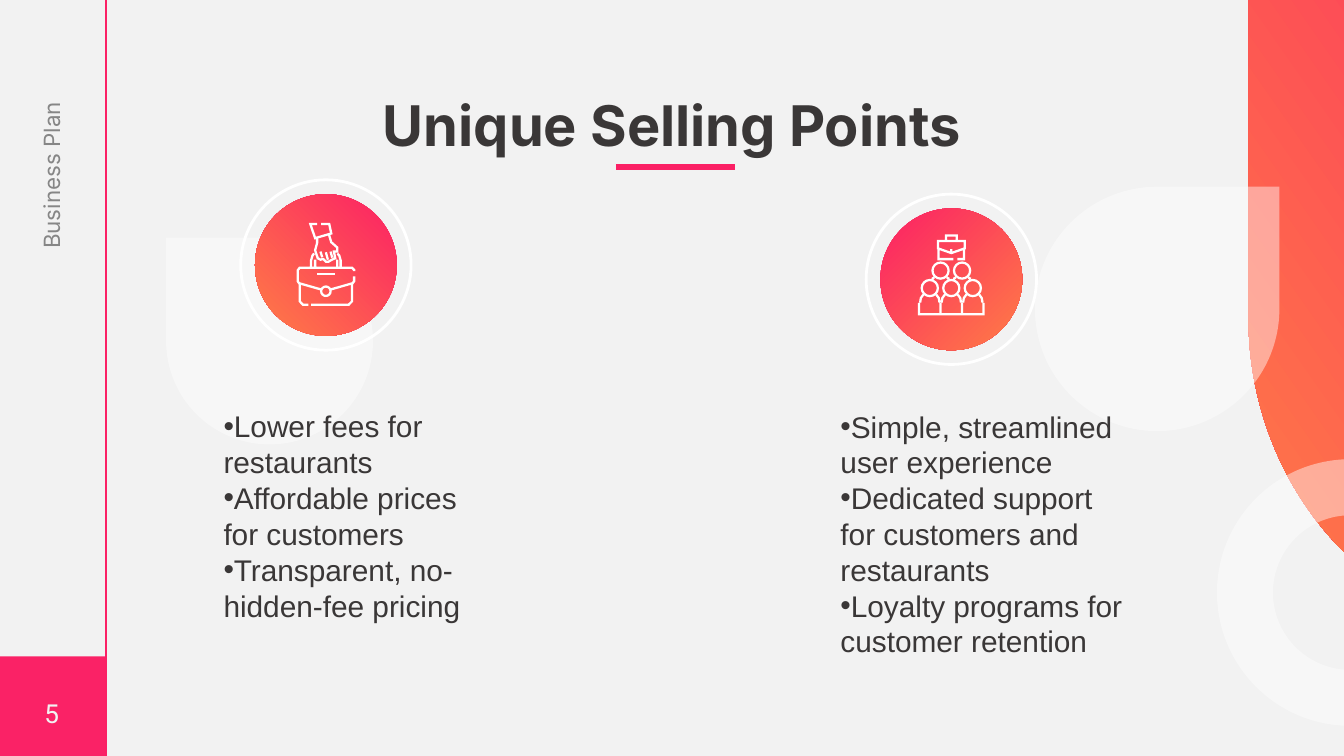
import math

from lxml import etree
from pptx import Presentation
from pptx import util as u
from pptx.dml import color
from pptx.enum import shapes, text
from pptx.oxml import ns

Cm, Pt = u.Cm, u.Pt
COLORS = {
    "paper": "F2F2F2", "white": "FFFFFF", "ink": "3A3737", "muted": "868686",
    "pink": "FB2065", "orange": "FF7D46", "block": "FA2266",
}
TITLE = {"name": "Inter", "size": Pt(30), "bold": True}
LIST = {"name": "Arial", "size": Pt(16), "bold": False}
SIDE = {"name": "Inter", "size": Pt(12)}
NUMBER = {"name": "Roboto", "size": Pt(14)}
ICON_UNIT = Cm(2.54) / 100
PRECISION = 100
HALF_STROKE = 0.85

BRIEFCASE = {
    "strokes": [
        [(21, 4.5), (21, 3.5), (19.5, 2), (-19.5, 2), (-21, 4), (-21, 12), (-20, 13.5), (-4.2, 18)],
        [(21, 8.5), (21, 12), (20, 13.5), (4.2, 18)],
        [(-19.5, 14.6), (-19.5, 27), (-17, 29.5), (-13, 29.5)],
        [(-11, 29.5), (17, 29.5), (19.5, 27), (19.5, 14.6)],
        [(-11, 1.1), (-11, -3.5), (-10, -7), (-8.8, -8.6)],
        [(-8, 1.1), (-8, -4)],
        [(11, 1.1), (11, -3.5), (10, -7), (8.6, -8.6)],
        [(8.5, 1.1), (8.5, -4)],
        [(-3.5, -30.5), (2.5, -30.5), (4, -23.5), (-8, -20), (-11.5, -30.5), (-6.5, -30.5)],
        [(-6.5, -19.5), (-6.5, -16.5), (-8, -11), (-6, -5), (-4, -4), (-2, -4.5), (0, -2.5),
         (2, -2.5), (4.5, -4), (7, -5), (6, -10), (8.5, -10), (8.5, -13), (4, -17), (2.5, -22)],
        [(-4, -10), (-2.7, -5.8)],
        [(0, -9.5), (1.5, -4)],
        [(3.5, -10), (4.7, -5.5)],
    ],
    "circles": [(0, 19.5, 3.5)],
}
SLOT = {"strokes": [[(-6.5, 6.5), (6.5, 6.5)]], "circles": []}
BACK_ROW, FRONT_ROW, SIDES = (-8, 8), (-16, 0, 16), (-1, 1)
TEAM = {
    "strokes": [[(-24.85, 26), (24.85, 26)]]
    + [[(x, 25.1), (x, 17.5)] for x in range(-24, 25, 16)]
    + [[(x + 7.2 * side, 17.3), (x + 6.7 * side, 14), (x + 4.9 * side, 11.5)]
       for x in FRONT_ROW for side in SIDES]
    + [[(x + 4.7 * side, -1.3), (x + 6.5 * side, -0.3)] for x in BACK_ROW for side in SIDES],
    "circles": [(x, -6.5, 6) for x in BACK_ROW] + [(x, 6.5, 6) for x in FRONT_ROW],
}
CASE = {
    "strokes": [
        [(0, -28.5), (10, -28.5), (10, -23), (0, -19.5), (-10, -23), (-10, -28.5), (0, -28.5)],
        [(-9.5, -21.8), (-9.5, -15), (1.5, -15)],
        [(4.5, -15), (9.5, -15), (9.5, -21.8)],
        [(-4, -29.4), (-4, -32.5), (4, -32.5), (4, -29.4)],
        [(0, -22.5), (0, -20.5)],
    ],
    "circles": [],
}


def rgb(name):
    return color.RGBColor.from_string(COLORS[name])


def format_font(font, values, color_name):
    for key, value in values.items():
        setattr(font, key, value)
    font.color.rgb = rgb(color_name)


def place(part, left, top, width, height):
    box = {"left": left, "top": top, "width": width, "height": height}
    for key, value in box.items():
        setattr(part, key, Cm(value))


def add_plain(parent, kind, box, fill=None, alpha=None, rotation=0):
    part = parent.shapes.add_shape(kind, *map(Cm, box))
    part.shadow.inherit = False
    part.rotation = rotation
    part.line.fill.background()
    if fill is None:
        part.fill.background()
    else:
        part.fill.solid()
        part.fill.fore_color.rgb = rgb(fill)
    if alpha:
        tint = part.fill._xPr.find(".//" + ns.qn("a:srgbClr"))
        etree.SubElement(tint, ns.qn("a:alpha"), val=str(alpha * 1000))
    return part


def add_gradient(parent, kind, box, angle, rotation=0):
    part = add_plain(parent, kind, box, rotation=rotation)
    part.fill.gradient()
    part.fill.gradient_angle = 360 - angle
    for stop, name in zip(part.fill.gradient_stops, ("pink", "orange")):
        stop.color.rgb = rgb(name)


def add_rule(slide, start, end, width):
    rule = slide.shapes.add_connector(shapes.MSO_CONNECTOR.STRAIGHT, *map(Cm, start + end))
    rule.line.color.rgb = rgb("pink")
    rule.line.width = Pt(width)
    etree.SubElement(rule._element.spPr, ns.qn("a:effectLst"))


def ribbon(stroke):
    angles = [math.atan2(y2 - y1, x2 - x1) for (x1, y1), (x2, y2) in zip(stroke, stroke[1:])]
    left, right = [], []
    for (x, y), before, after in zip(stroke, angles[:1] + angles, angles + angles[-1:]):
        turn = math.remainder(after - before, math.tau) / 2
        reach = HALF_STROKE / math.cos(turn)
        dx, dy = -reach * math.sin(before + turn), reach * math.cos(before + turn)
        left.append((x + dx, y + dy))
        right.append((x - dx, y - dy))
    return left + right[::-1]


def ring(x, y, radius, corners=16):
    return [(x + radius * math.cos(math.tau * i / corners),
             y + radius * math.sin(math.tau * i / corners)) for i in range(corners)]


def add_icon_part(icon, x, y, drawing):
    contours = [ribbon(stroke) for stroke in drawing["strokes"]]
    for cx, cy, radius in drawing["circles"]:
        contours += [ring(cx, cy, radius + edge) for edge in (HALF_STROKE, -HALF_STROKE)]
    contours = [[(px * PRECISION, py * PRECISION) for px, py in points] for points in contours]
    builder = icon.shapes.build_freeform(*contours[0][0], scale=ICON_UNIT / PRECISION)
    for i, points in enumerate(contours):
        if i:
            builder.move_to(*points[0])
        builder.add_line_segments(points[1:])
    outline = builder.convert_to_shape(Cm(x), Cm(y))
    outline.shadow.inherit = False
    outline.fill.solid()
    outline.fill.fore_color.rgb = rgb("white")
    outline.line.fill.background()


def add_icon(slide, x, y, drawings):
    icon = slide.shapes.add_group_shape()
    for drawing in drawings:
        add_icon_part(icon, x, y, drawing)


def add_badge(slide, x, y, angle):
    badge = slide.shapes.add_group_shape()
    oval = shapes.MSO_SHAPE.OVAL
    halo = add_plain(badge, oval, (x - 1.61, y - 1.61, 3.22, 3.22))
    halo.line.color.rgb = rgb("white")
    halo.line.width = Pt(1.5)
    add_gradient(badge, oval, (x - 1.34, y - 1.34, 2.68, 2.68), angle)


def fill_title(title, words):
    place(title, 1.95, 1.55, 21.51, 1.55)
    frame = title.text_frame
    frame.text = words
    frame.auto_size = text.MSO_AUTO_SIZE.NONE
    frame.vertical_anchor = text.MSO_ANCHOR.BOTTOM
    frame.paragraphs[0].alignment = text.PP_ALIGN.CENTER
    format_font(frame.paragraphs[0].runs[0].font, TITLE, "ink")


def fill_list(body, box, points):
    place(body, *box)
    frame = body.text_frame
    frame.text = "\n".join(points)
    frame.auto_size = text.MSO_AUTO_SIZE.NONE
    frame.vertical_anchor = text.MSO_ANCHOR.MIDDLE
    frame.margin_top = Cm(0.8)
    for paragraph in frame.paragraphs:
        paragraph.space_before = Pt(0)
        props = paragraph._p.get_or_add_pPr()
        for key in ("marL", "indent"):
            props.set(key, "0")
        etree.SubElement(props, ns.qn("a:buChar"), char="•")
        format_font(paragraph.runs[0].font, LIST, "ink")


def add_side_label(slide, words):
    label = slide.shapes.add_textbox(*map(Cm, (-0.89, 2.88, 3.73, 1.02)))
    label.rotation = 270
    frame = label.text_frame
    frame.word_wrap = True
    margins = {"margin_left": 0.55, "margin_right": 0.25, "margin_top": 0.25, "margin_bottom": 0.25}
    for key, value in margins.items():
        setattr(frame, key, Cm(value))
    frame.text = words
    format_font(frame.paragraphs[0].runs[0].font, SIDE, "muted")


def add_page_number(slide, number):
    block = add_plain(slide, shapes.MSO_SHAPE.RECTANGLE, (-0.05, 12.41, 2.06, 2.13), "block")
    frame = block.text_frame
    frame.text = number
    frame.vertical_anchor = text.MSO_ANCHOR.MIDDLE
    frame.paragraphs[0].alignment = text.PP_ALIGN.CENTER
    format_font(frame.paragraphs[0].runs[0].font, NUMBER, "paper")


def add_backdrop(slide):
    drop = shapes.MSO_SHAPE.TEAR
    add_gradient(slide, drop, (23.19, 0.36, 12.09, 11.28), 235, 270)
    add_plain(slide, drop, (3.14, 4.49, 3.91, 3.91), "white", 44, 270)
    add_plain(slide, drop, (19.56, 3.53, 4.62, 4.62), "white", 44)
    arc = add_plain(slide, shapes.MSO_SHAPE.BLOCK_ARC, (23, 8.68, 5.04, 5.04), "white", 44, 270)
    arc.adjustments[2] = 0.21


def main():
    deck = Presentation()
    deck.slide_width, deck.slide_height = Cm(25.4), Cm(14.29)
    slide = deck.slides.add_slide(deck.slide_layouts[3])
    slide.background.fill.solid()
    slide.background.fill.fore_color.rgb = rgb("paper")
    title, fees, service = slide.placeholders
    add_backdrop(slide)
    add_page_number(slide, "5")
    add_rule(slide, (2.01, 0), (2.01, 14.29), 1.25)
    add_badge(slide, 6.16, 5.01, 135)
    add_badge(slide, 17.98, 5.28, 45)
    add_side_label(slide, "Business Plan")
    add_icon(slide, 6.16, 5.01, (BRIEFCASE, SLOT))
    add_icon(slide, 17.98, 5.28, (TEAM, CASE))
    add_rule(slide, (11.64, 3.16), (13.9, 3.16), 3)
    fill_title(title, "Unique Selling Points")
    fill_list(fees, (3.97, 6.88, 5.03, 5.06), [
        "Lower fees for restaurants",
        "Affordable prices for customers",
        "Transparent, no-hidden-fee pricing",
    ])
    fill_list(service, (15.63, 6.88, 5.94, 5.74), [
        "Simple, streamlined user experience",
        "Dedicated support for customers and restaurants",
        "Loyalty programs for customer retention",
    ])
    for placeholder in (title, fees, service):
        slide.shapes._spTree.append(placeholder._element)
    deck.save("out.pptx")


if __name__ == "__main__":
    main()
